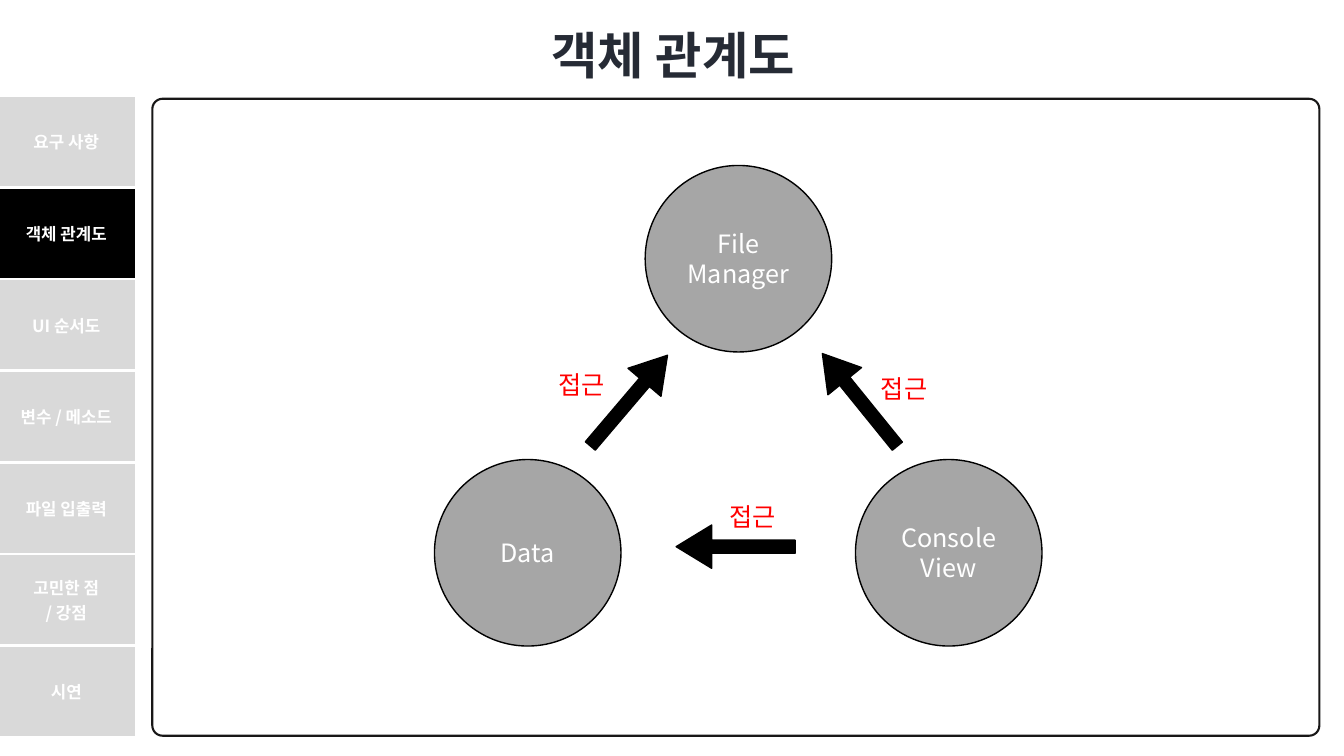
from dataclasses import dataclass

from lxml import etree
from pptx import Presentation
from pptx.dml.color import RGBColor
from pptx.enum.shapes import MSO_SHAPE
from pptx.enum.text import MSO_ANCHOR, MSO_AUTO_SIZE, PP_ALIGN
from pptx.oxml.ns import qn
from pptx.util import Cm, Pt


@dataclass(frozen=True)
class Theme:
    font: str = "Noto Sans CJK KR"
    white: str = "FFFFFF"
    black: str = "000000"
    title: str = "262B35"
    frame: str = "181717"
    circle: str = "A6A6A6"
    inactive: str = "D9D9D9"
    access: str = "FF0000"
    title_size: int = 36
    body_size: int = 18
    menu_size: int = 12
    body_leading: float = 21.6


THEME = Theme()

MENU = ["요구 사항", "객체 관계도", "UI 순서도", "변수 / 메소드",
        "파일 입출력", "고민한 점\n/ 강점", "시연"]
ACTIVE = "객체 관계도"

# Positions in centimetres: left, top
OBJECTS = [("File\nManager", 16.26, 4.17),
           ("Data", 10.95, 11.58),
           ("Console\nView", 21.56, 11.58)]
# Left, top, rotation in degrees
ARROWS = [(17.04, 13.23, 180), (14.35, 9.55, 310.4), (20.17, 9.53, 231)]
LABELS = [(21.95, 9.27), (13.82, 9.17), (18.14, 12.52)]


def rgb(color):
    return RGBColor.from_string(color)


def write(frame, text, *, size, color, bold=False, align=PP_ALIGN.CENTER,
          spacing=None):
    """Fill a text frame, one paragraph for each line of text."""
    frame.word_wrap = True
    for index, line in enumerate(text.split("\n")):
        para = frame.add_paragraph() if index else frame.paragraphs[0]
        para.alignment = align
        para.line_spacing = spacing
        span = para.add_run()
        span.text = line
        span.font.name = THEME.font
        span.font.size = Pt(size)
        span.font.bold = bold
        span.font.color.rgb = rgb(color)
        # Korean letters take the East Asian typeface
        latin = span.font._element.find(qn("a:latin"))
        east_asian = etree.Element(qn("a:ea"), typeface=THEME.font)
        latin.addnext(east_asian)


def add_box(page, kind, left, top, width, height, *, fill, line, weight=1.0,
            adjust=(), rotation=0):
    box = page.shapes.add_shape(kind, Cm(left), Cm(top), Cm(width), Cm(height))
    box.shadow.inherit = False
    box.fill.solid()
    box.fill.fore_color.rgb = rgb(fill)
    box.line.color.rgb = rgb(line)
    box.line.width = Pt(weight)
    box.rotation = rotation
    for index, value in enumerate(adjust):
        box.adjustments[index] = value
    return box


def add_title(page, text):
    title = page.shapes.title
    title.left, title.top = Cm(0.03), Cm(-0.15)
    title.width, title.height = Cm(33.87), Cm(2.26)
    frame = title.text_frame
    frame.auto_size = MSO_AUTO_SIZE.NONE
    frame.vertical_anchor = MSO_ANCHOR.MIDDLE
    write(frame, text, size=THEME.title_size, color=THEME.title, bold=True,
          spacing=1.5)


def add_border(cell, side):
    properties = cell._tc.get_or_add_tcPr()
    border = etree.SubElement(properties, qn(f"a:{side}"), w=str(Pt(2.25)))
    fill = etree.SubElement(border, qn("a:solidFill"))
    etree.SubElement(fill, qn("a:srgbClr"), val=THEME.white)


def add_menu(page):
    row_height = Cm(2.31)
    table = page.shapes.add_table(len(MENU), 1, Cm(-0.08), Cm(2.41), Cm(3.5),
                                  row_height * len(MENU)).table
    table.first_row = False
    table.horz_banding = False
    for row, text in enumerate(MENU):
        table.rows[row].height = row_height
        cell = table.cell(row, 0)
        cell.vertical_anchor = MSO_ANCHOR.MIDDLE
        for side in ("lnT", "lnB"):
            add_border(cell, side)
        cell.fill.solid()
        cell.fill.fore_color.rgb = rgb(
            THEME.black if text == ACTIVE else THEME.inactive)
        write(cell.text_frame, text, size=THEME.menu_size, color=THEME.white,
              bold=True)


def add_object(page, text, left, top):
    circle = add_box(page, MSO_SHAPE.OVAL, left, top, 4.7, 4.7,
                     fill=THEME.circle, line=THEME.black)
    circle.text_frame.vertical_anchor = MSO_ANCHOR.MIDDLE
    write(circle.text_frame, text, size=THEME.body_size, color=THEME.white,
          spacing=Pt(THEME.body_leading))


def add_label(page, text, left, top):
    box = page.shapes.add_textbox(Cm(left), Cm(top), Cm(2.16), Cm(1.02))
    write(box.text_frame, text, size=THEME.body_size, color=THEME.access,
          align=PP_ALIGN.LEFT, spacing=Pt(THEME.body_leading))


def main():
    deck = Presentation()
    deck.slide_width, deck.slide_height = Cm(33.87), Cm(19.05)
    page = deck.slides.add_slide(deck.slide_layouts[5])

    # Frame, title and side menu
    add_box(page, MSO_SHAPE.ROUNDED_RECTANGLE, 3.84, 2.49, 29.41, 16.05,
            fill=THEME.white, line=THEME.frame, weight=1.5, adjust=(0.016,))
    add_title(page, ACTIVE)
    add_menu(page)

    # Objects and the access between them
    for text, left, top in OBJECTS:
        add_object(page, text, left, top)
    for left, top, rotation in ARROWS:
        add_box(page, MSO_SHAPE.RIGHT_ARROW, left, top, 3, 1.09,
                fill=THEME.black, line=THEME.black, adjust=(0.3, 0.82),
                rotation=rotation)
    for left, top in LABELS:
        add_label(page, "접근", left, top)

    deck.save("out.pptx")


if __name__ == "__main__":
    main()
